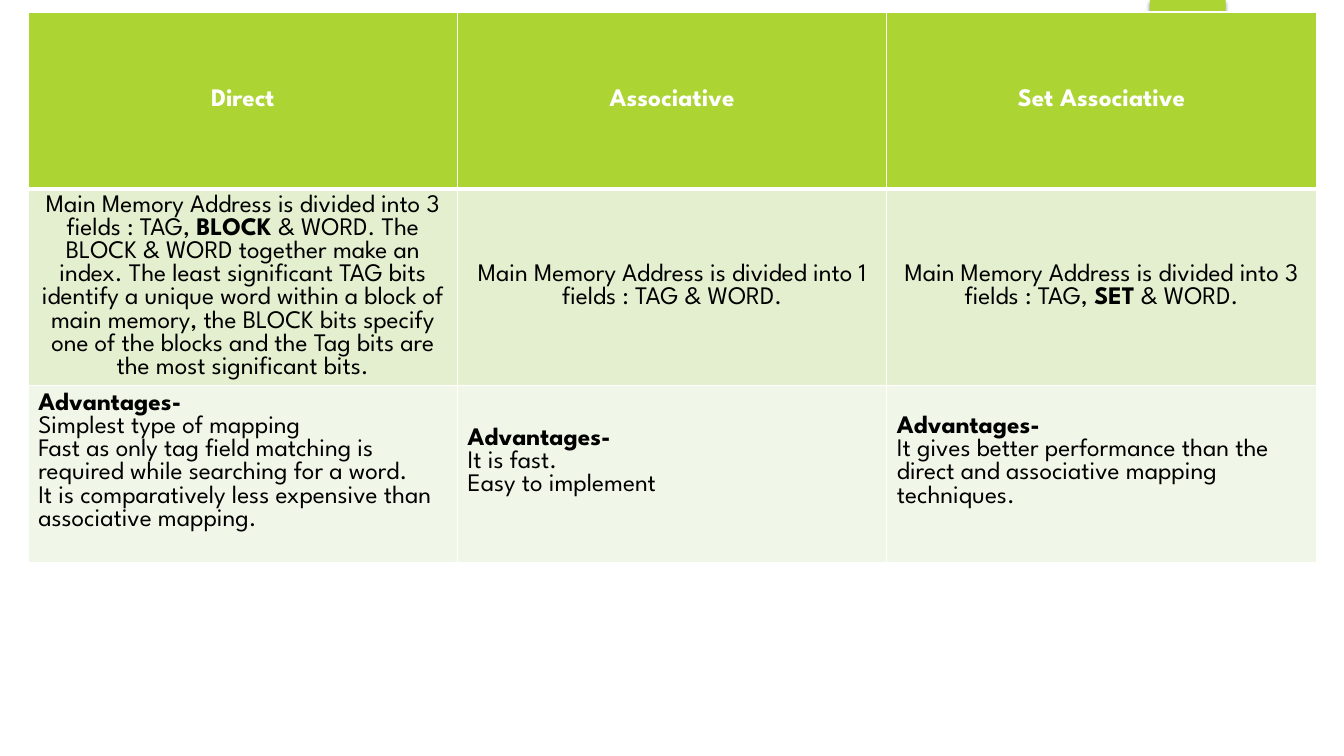
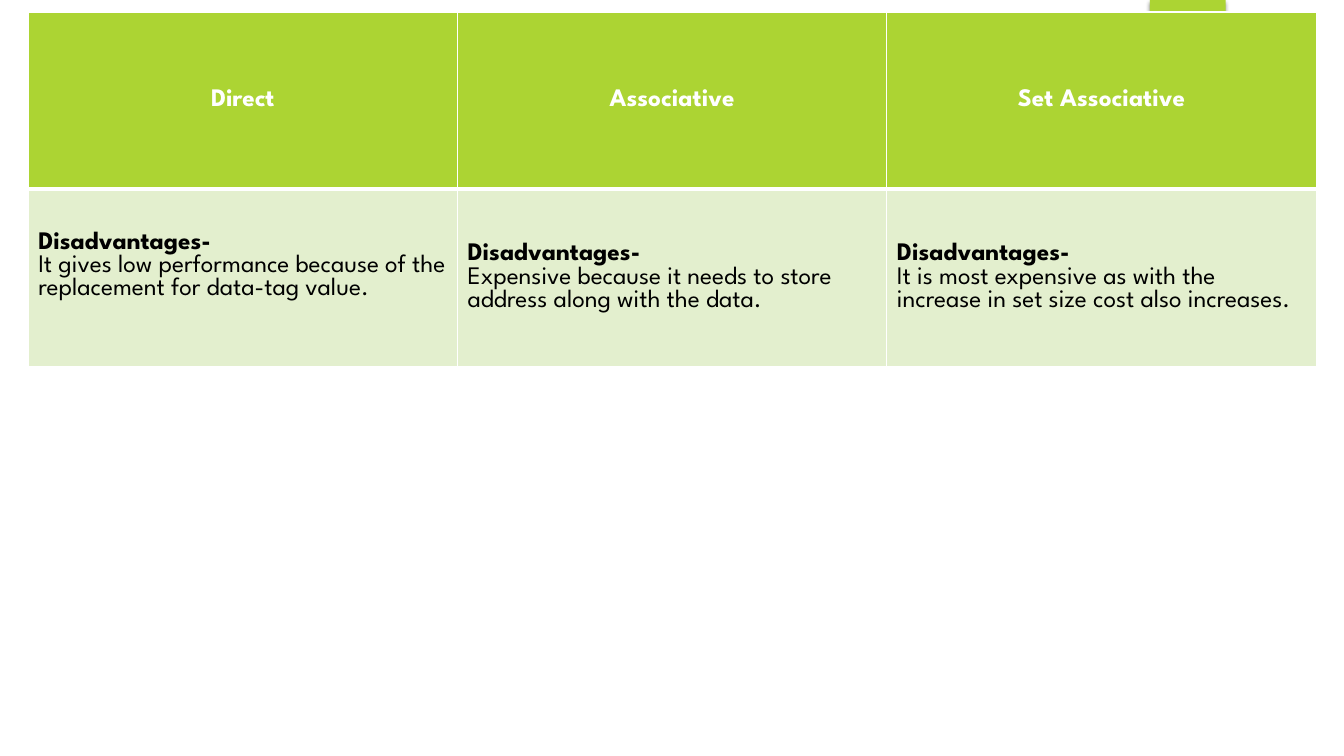
from lxml import etree
from pptx import Presentation
from pptx.dml.color import RGBColor
from pptx.enum.shapes import MSO_SHAPE
from pptx.enum.text import MSO_ANCHOR, PP_ALIGN
from pptx.oxml.ns import qn
from pptx.util import Cm, Pt

RECTANGLE = MSO_SHAPE.RECTANGLE
MIDDLE = MSO_ANCHOR.MIDDLE
CENTER, LEFT = PP_ALIGN.CENTER, PP_ALIGN.LEFT

LIME = RGBColor(0xAC, 0xD4, 0x33)
PALE_LIME = RGBColor(0xE3, 0xEF, 0xCE)
PALEST_LIME = RGBColor(0xF1, 0xF7, 0xE8)
WHITE = RGBColor(0xFF, 0xFF, 0xFF)
BLACK = RGBColor(0x00, 0x00, 0x00)
ROW_FILLS = (LIME, PALE_LIME, PALEST_LIME)

FONT = "League Spartan"
FONT_SIZE = Pt(18)
BOLD_MARK = "*"
TABLE_LEFT, TABLE_TOP = Cm(0.71), Cm(0.3)
COLUMN_WIDTH, ROW_HEIGHT = Cm(10.82), Cm(4.47)
RAISED_MARGIN = Cm(0.71)
THIN, THICK = Pt(1), Pt(3)

HEADINGS = [["*Direct*"], ["*Associative*"], ["*Set Associative*"]]
ADDRESS_FIELDS = [
    ["Main Memory Address is divided into 3 fields : TAG, *BLOCK* & WORD. "
     "The BLOCK & WORD together make an index. The least significant TAG bits "
     "identify a unique word within a block of main memory, the BLOCK bits "
     "specify one of the blocks and the Tag bits are the most significant bits."],
    ["Main Memory Address is divided into 1 fields : TAG & WORD."],
    ["Main Memory Address is divided into 3 fields : TAG, *SET* & WORD."],
]
ADVANTAGES = [
    ["*Advantages-*",
     "Simplest type of mapping",
     "Fast as only tag field matching is required while searching for a word.",
     "It is comparatively less expensive than associative mapping."],
    ["*Advantages-*", "It is fast.", "Easy to implement"],
    ["*Advantages-*",
     "It gives better performance than the direct and associative mapping techniques."],
]
DISADVANTAGES = [
    ["*Disadvantages-*",
     "It gives low performance because of the replacement for data-tag value."],
    ["*Disadvantages-*",
     "Expensive because it needs to store address along with the data."],
    ["*Disadvantages-*",
     "It is most expensive as with the increase in set size cost also increases."],
]
SLIDES = [
    {"rows": [HEADINGS, ADDRESS_FIELDS, ADVANTAGES],
     "left_rows": {2}, "raised": {(2, 0), (2, 1), (2, 2)}},
    {"rows": [HEADINGS, DISADVANTAGES],
     "left_rows": {1}, "raised": {(1, 0)}},
]


def add_color(parent, color):
    fill = etree.SubElement(parent, qn("a:solidFill"))
    etree.SubElement(fill, qn("a:srgbClr"), val=str(color))


def add_tab(slide):
    tab = slide.shapes.add_shape(RECTANGLE, Cm(28.98), 0, Cm(1.91), Cm(3.18))
    tab.fill.solid()
    tab.fill.fore_color.rgb = LIME
    tab.line.fill.background()
    tab.shadow.inherit = False
    effects = tab.element.spPr.find(qn("a:effectLst"))
    shadow = etree.SubElement(effects, qn("a:outerShdw"), blurRad=str(Pt(3)),
                              dist=str(Pt(2)), dir="5400000", rotWithShape="0")
    color = etree.SubElement(shadow, qn("a:srgbClr"), val=str(BLACK))
    etree.SubElement(color, qn("a:alpha"), val="45000")


def set_borders(cell, row_index):
    widths = {
        "a:lnL": THIN,
        "a:lnR": THIN,
        "a:lnT": THICK if row_index == 1 else THIN,
        "a:lnB": THICK if row_index == 0 else THIN,
    }
    properties = cell._tc.get_or_add_tcPr()
    for tag, width in widths.items():
        add_color(etree.SubElement(properties, qn(tag), w=str(width)), WHITE)


def write_cell(cell, lines, color, alignment):
    text_frame = cell.text_frame
    for index, line in enumerate(lines):
        paragraph = text_frame.add_paragraph() if index else text_frame.paragraphs[0]
        paragraph.alignment = alignment
        for part, text in enumerate(line.split(BOLD_MARK)):
            if not text:
                continue
            run = paragraph.add_run()
            run.text = text
            run.font.name = FONT
            run.font.size = FONT_SIZE
            run.font.bold = part % 2 == 1
            run.font.color.rgb = color


def add_comparison(slide, content):
    rows = content["rows"]
    column_count = len(HEADINGS)
    table = slide.shapes.add_table(
        len(rows), column_count, TABLE_LEFT, TABLE_TOP,
        COLUMN_WIDTH * column_count, ROW_HEIGHT * len(rows)).table
    for column in table.columns:
        column.width = COLUMN_WIDTH
    for row_index, row in enumerate(rows):
        table.rows[row_index].height = ROW_HEIGHT
        color = BLACK if row_index else WHITE
        alignment = LEFT if row_index in content["left_rows"] else CENTER
        for column_index, lines in enumerate(row):
            cell = table.cell(row_index, column_index)
            set_borders(cell, row_index)
            cell.fill.solid()
            cell.fill.fore_color.rgb = ROW_FILLS[row_index]
            cell.vertical_anchor = MIDDLE
            if (row_index, column_index) in content["raised"]:
                cell.margin_bottom = RAISED_MARGIN
            write_cell(cell, lines, color, alignment)


def main():
    presentation = Presentation()
    presentation.slide_width = Cm(33.87)
    presentation.slide_height = Cm(19.05)
    for content in SLIDES:
        slide = presentation.slides.add_slide(presentation.slide_layouts[6])
        add_tab(slide)
        add_comparison(slide, content)
    presentation.save("out.pptx")


if __name__ == "__main__":
    main()
